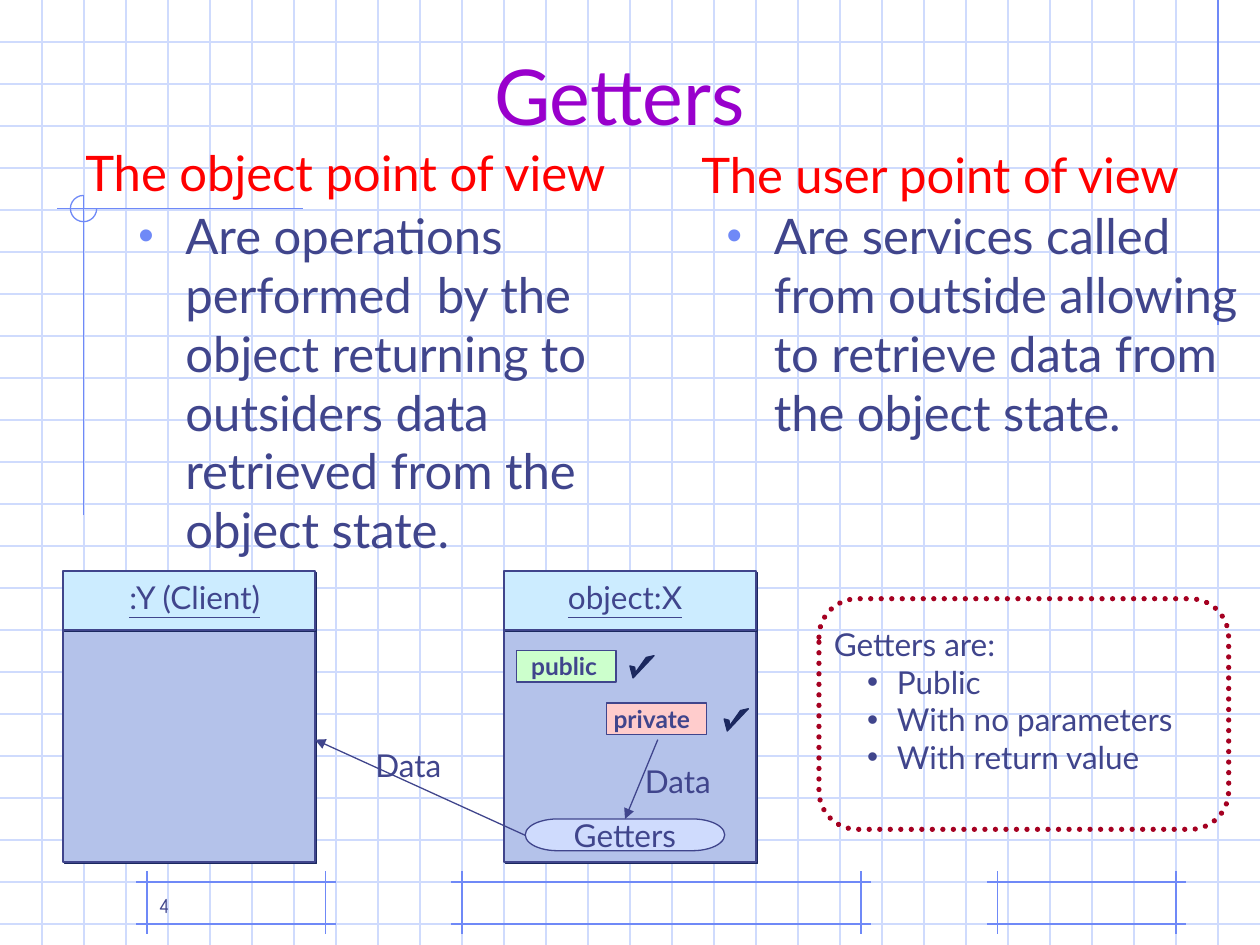
from lxml.etree import SubElement
from pptx import Presentation
from pptx.dml.color import RGBColor
from pptx.enum.dml import MSO_LINE
from pptx.enum.shapes import MSO_CONNECTOR, MSO_SHAPE as SHAPE
from pptx.enum.text import MSO_ANCHOR as ANCHOR, MSO_AUTO_SIZE as AUTO_SIZE, PP_ALIGN as ALIGN
from pptx.oxml.ns import qn
from pptx.util import Cm, Pt

COLORS = {
    "grid": "CFDBFD", "accent": "6F89F7", "ink": "40458C", "dark": "1B285F",
    "title": "9900CC", "heading": "FF0000", "header": "CCECFF", "body": "B4C2EA",
    "public": "CCFFCC", "private": "FFCCCC", "callout": "A50021",
}
GRID = 2.54 / 3  # cm between two grid lines
CHECK_MARK = [(0, 0.28), (0.1, 0.29), (0.13, 0.4), (0.3, 0.06), (0.45, 0), (0.1, 0.51)]


def rgb(name):
    return RGBColor.from_string(COLORS[name])


def add_bullet(paragraph, color, size, margin, indent):
    properties = paragraph._p.get_or_add_pPr()
    properties.set("marL", str(Cm(margin)))
    properties.set("indent", str(Cm(indent)))
    bullet_color = SubElement(properties, qn("a:buClr"))
    SubElement(bullet_color, qn("a:srgbClr"), val=COLORS[color])
    SubElement(properties, qn("a:buSzPct"), val=str(size * 1000))
    SubElement(properties, qn("a:buFont"), typeface="Arial")
    SubElement(properties, qn("a:buChar"), char="•")


def write(shape, *lines, size=18, color="ink", font="Lato", bold=False, underline=False,
          align=ALIGN.LEFT, anchor=ANCHOR.TOP, wrap=False, bullet=None, first_bullet=0):
    """Fill a shape with one paragraph per line; bullets start at line first_bullet."""
    frame = shape.text_frame
    frame.word_wrap = wrap
    frame.auto_size = AUTO_SIZE.NONE if wrap else AUTO_SIZE.SHAPE_TO_FIT_TEXT
    frame.vertical_anchor = anchor
    for index, line in enumerate(lines):
        paragraph = frame.paragraphs[0] if index == 0 else frame.add_paragraph()
        paragraph.alignment = align
        if bullet and index >= first_bullet:
            add_bullet(paragraph, **bullet)
        run = paragraph.add_run()
        run.text = line
        run.font.name = font
        run.font.size = Pt(size)
        run.font.bold = bold
        run.font.underline = underline
        run.font.color.rgb = rgb(color)


def add_text(slide, left, top, width, height, *lines, **text_format):
    box = slide.shapes.add_textbox(Cm(left), Cm(top), Cm(width), Cm(height))
    write(box, *lines, **text_format)


def paint(shape, fill, line, weight=0.75):
    shape.shadow.inherit = False
    if fill:
        shape.fill.solid()
        shape.fill.fore_color.rgb = rgb(fill)
    else:
        shape.fill.background()
    shape.line.color.rgb = rgb(line)
    shape.line.width = Pt(weight)


def add_shape(slide, kind, left, top, width, height, fill=None, line="ink", weight=0.75):
    shape = slide.shapes.add_shape(kind, Cm(left), Cm(top), Cm(width), Cm(height))
    paint(shape, fill, line, weight)
    return shape


def add_hard_shadow(shape):
    effects = shape._element.spPr.find(qn("a:effectLst"))
    shadow = SubElement(effects, qn("a:outerShdw"), blurRad="0", dist=str(Pt(1.4)),
                        dir="2700000", algn="ctr", rotWithShape="0")
    SubElement(shadow, qn("a:srgbClr"), val=COLORS["dark"])


def add_line(slide, x1, y1, x2, y2, color="accent", arrow=False):
    line = slide.shapes.add_connector(MSO_CONNECTOR.STRAIGHT, Cm(x1), Cm(y1), Cm(x2), Cm(y2))
    line.line.color.rgb = rgb(color)
    line.line.width = Pt(0.75)
    if arrow:
        SubElement(line.line._get_or_add_ln(), qn("a:tailEnd"), type="triangle")
    SubElement(line._element.spPr, qn("a:effectLst"))


def add_check_mark(slide, left, top):
    points = [(Cm(left + x), Cm(top + y)) for x, y in CHECK_MARK]
    builder = slide.shapes.build_freeform(*points[0])
    builder.add_line_segments(points[1:], close=True)
    check = builder.convert_to_shape()
    paint(check, "dark", "dark")
    check.rotation = 8.9


def add_grid_paper(slide):
    for row in range(1, 23):
        add_line(slide, 0, row * GRID, 25.4, row * GRID, "grid")
    for column in range(1, 30):
        add_line(slide, column * GRID, 0, column * GRID, 19.05, "grid")


def add_footer_frame(slide, left, right):
    """Draw crossing rules between two columns, given in grid steps."""
    top, bottom, overhang = 21, 22, 0.25
    for row in (top, bottom):
        add_line(slide, (left - overhang) * GRID, row * GRID, (right + overhang) * GRID, row * GRID)
    for column in (left, right):
        add_line(slide, column * GRID, (top - overhang) * GRID,
                 column * GRID, (bottom + overhang) * GRID)


def add_decoration(slide):
    add_grid_paper(slide)
    for left, right in ((11, 20.5), (23.75, 28), (3.5, 7.75)):
        add_footer_frame(slide, left, right)
    add_line(slide, 29 * GRID, 0, 29 * GRID, 7.75 * GRID)
    add_line(slide, 6.1, 4.21, 1.14, 4.21)
    add_line(slide, 1.69, 3.94, 1.69, 10.39)
    arc = add_shape(slide, SHAPE.ARC, 1.42, 3.94, 0.53, 0.53, line="accent")
    arc.adjustments[0], arc.adjustments[1] = 0, 162  # 162 stands for 270 degrees


def add_title(slide, text):
    title = slide.shapes.title
    title.left, title.top, title.width, title.height = Cm(1.69), Cm(0.64), Cm(21.59), Cm(2.33)
    write(title, text, size=44, color="title", align=ALIGN.CENTER, anchor=ANCHOR.BOTTOM, wrap=True)
    title.element.getparent().append(title.element)  # bring in front of the grid


def add_object_box(slide, left, name, name_left, name_width):
    for top, height, fill in ((12.5, 4.88, "body"), (11.51, 1.19, "header")):
        add_hard_shadow(add_shape(slide, SHAPE.RECTANGLE, left, top, 5.08, height, fill))
    add_text(slide, name_left, 11.53, name_width, 1.02, name, underline=True)


def add_access_tag(slide, text, left, top, text_left, text_width):
    add_shape(slide, SHAPE.RECTANGLE, left, top, 2.01, 0.64, text)
    add_text(slide, text_left, top - 0.11, text_width, 0.86, text, size=14, bold=True)


def add_diagram(slide):
    add_object_box(slide, 10.16, "object:X", 11.2, 2.87)
    add_access_tag(slide, "public", 10.41, 13.11, 10.46, 2.01)
    add_access_tag(slide, "private", 12.23, 14.17, 12.12, 2.29)
    add_check_mark(slide, 12.7, 13.18)
    add_check_mark(slide, 14.6, 14.25)
    getters = add_shape(slide, SHAPE.FLOWCHART_TERMINATOR, 10.59, 16.51, 4.02, 0.64, "grid")
    write(getters, "Getters", align=ALIGN.CENTER, anchor=ANCHOR.MIDDLE)
    getters.text_frame.auto_size = AUTO_SIZE.NONE
    add_object_box(slide, 1.27, ":Y (Client)", 2.36, 3.28)
    for left, top in ((7.32, 14.91), (12.75, 15.24)):
        add_text(slide, left, top, 1.9, 1.02, "Data")
    add_line(slide, 13.26, 14.91, 12.6, 16.51, "ink", arrow=True)
    add_line(slide, 10.59, 16.84, 6.35, 14.91, "ink", arrow=True)


def add_callout(slide):
    add_text(slide, 16.56, 12.47, 7.98, 4.06, "Getters are:", "Public", "With no parameters",
             "With return value", wrap=True, first_bullet=1,
             bullet=dict(color="ink", size=100, margin=1.27, indent=-0.6))
    frame = add_shape(slide, SHAPE.ROUNDED_RECTANGLE, 16.51, 12.07, 8.26, 4.65,
                      line="callout", weight=3)
    frame.line.dash_style = MSO_LINE.ROUND_DOT
    frame.line._get_or_add_ln().set("cap", "rnd")


def main():
    presentation = Presentation()
    presentation.slide_width, presentation.slide_height = Cm(25.4), Cm(19.05)
    slide = presentation.slides.add_slide(presentation.slide_layouts[5])
    add_decoration(slide)
    add_title(slide, "Getters")
    bullet = dict(color="accent", size=90, margin=0.95, indent=-0.95)
    add_text(slide, 2.54, 4.02, 10.59, 11.43,
             "Are operations performed  by the object returning to outsiders data "
             "retrieved from the object state.", size=28, wrap=True, bullet=bullet)
    add_text(slide, 14.4, 4.02, 11, 11.43,
             "Are services called from outside allowing to retrieve data from "
             "the object state.", size=28, wrap=True, bullet=bullet)
    add_text(slide, 1.47, 2.74, 11.53, 1.45, "The object point of view", size=28, color="heading")
    add_text(slide, 13.89, 2.79, 10.74, 1.45, "The user point of view", size=28, color="heading")
    add_diagram(slide)
    add_callout(slide)
    add_text(slide, 2.96, 17.36, 5.29, 1.27, "4", size=12, font="Comic Neue",
             anchor=ANCHOR.BOTTOM, wrap=True)
    presentation.save("out.pptx")


if __name__ == "__main__":
    main()
